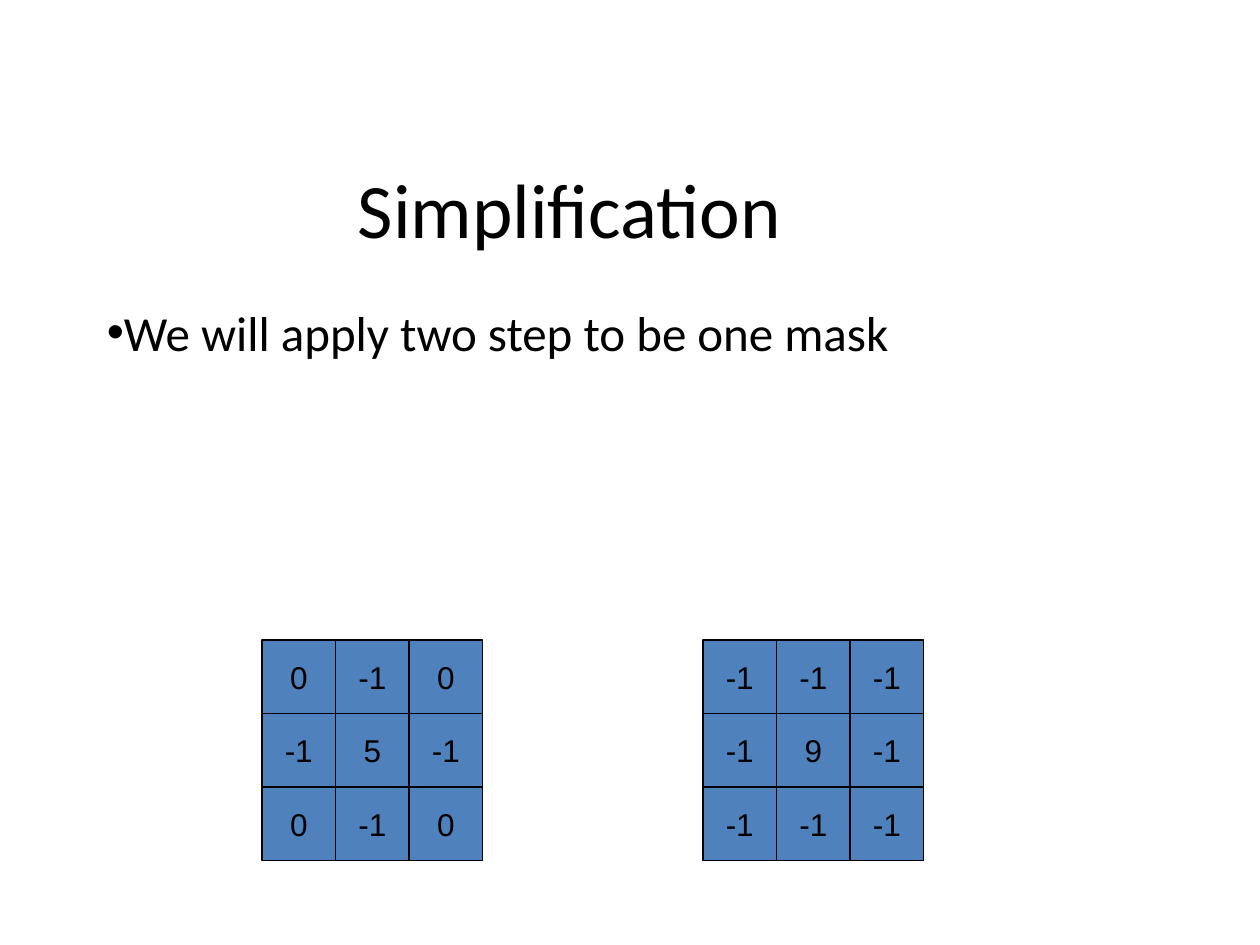
from dataclasses import dataclass

from lxml.etree import SubElement
from pptx import Presentation
from pptx.dml.color import RGBColor
from pptx.enum.shapes import MSO_SHAPE
from pptx.enum.text import MSO_ANCHOR, PP_ALIGN
from pptx.oxml.ns import qn
from pptx.shapes.autoshape import Shape
from pptx.slide import Slide
from pptx.util import Inches, Pt

BLACK = "000000"
CELL_BLUE = "4F81BD"
CELL_SIZE = 7 / 12
MASK_TOP = 5.08


@dataclass
class Mask:
    left: float
    rows: list[list[int]]


MASKS = [
    Mask(2.08, [[0, -1, 0], [-1, 5, -1], [0, -1, 0]]),
    Mask(5.58, [[-1, -1, -1], [-1, 9, -1], [-1, -1, -1]]),
]


def color(value: str) -> RGBColor:
    return RGBColor.from_string(value)


def write_text(box: Shape, text: str, *, font: str, size: float,
               align: PP_ALIGN = PP_ALIGN.LEFT,
               anchor: MSO_ANCHOR = MSO_ANCHOR.TOP,
               wrap: bool = True, bullet: str = "") -> None:
    frame = box.text_frame
    frame.word_wrap = wrap
    frame.vertical_anchor = anchor
    para = frame.paragraphs[0]
    para.alignment = align
    if bullet:
        properties = para._p.get_or_add_pPr()
        SubElement(properties, qn("a:buFont"), typeface="Arial")
        SubElement(properties, qn("a:buChar"), char=bullet)
    span = para.add_run()
    span.text = text
    span.font.name = font
    span.font.size = Pt(size)
    span.font.color.rgb = color(BLACK)


def add_text_box(page: Slide, left: float, top: float,
                 width: float, height: float) -> Shape:
    return page.shapes.add_textbox(
        Inches(left), Inches(top), Inches(width), Inches(height))


def draw_mask(page: Slide, mask: Mask) -> None:
    for row, values in enumerate(mask.rows):
        for column, value in enumerate(values):
            cell = page.shapes.add_shape(
                MSO_SHAPE.RECTANGLE,
                Inches(mask.left + column * CELL_SIZE),
                Inches(MASK_TOP + row * CELL_SIZE),
                Inches(CELL_SIZE), Inches(CELL_SIZE))
            cell.shadow.inherit = False
            cell.fill.solid()
            cell.fill.fore_color.rgb = color(CELL_BLUE)
            cell.line.color.rgb = color(BLACK)
            cell.line.width = Pt(0.75)
            write_text(cell, str(value), font="Arial", size=18,
                       align=PP_ALIGN.CENTER, anchor=MSO_ANCHOR.MIDDLE,
                       wrap=False)


def main() -> None:
    deck = Presentation()
    deck.slide_width = Inches(10)
    deck.slide_height = Inches(7.5)
    page = deck.slides.add_slide(deck.slide_layouts[6])

    title = add_text_box(page, 0.27, 1.02, 8.5, 1.25)
    write_text(title, "Simplification", font="Calibri", size=44,
               align=PP_ALIGN.CENTER, anchor=MSO_ANCHOR.MIDDLE)
    body = add_text_box(page, 0.75, 2.35, 8.75, 4.5)
    write_text(body, "We will apply two step to be one mask",
               font="Calibri", size=28, bullet="•")
    for mask in MASKS:
        draw_mask(page, mask)

    deck.save("out.pptx")


if __name__ == "__main__":
    main()
